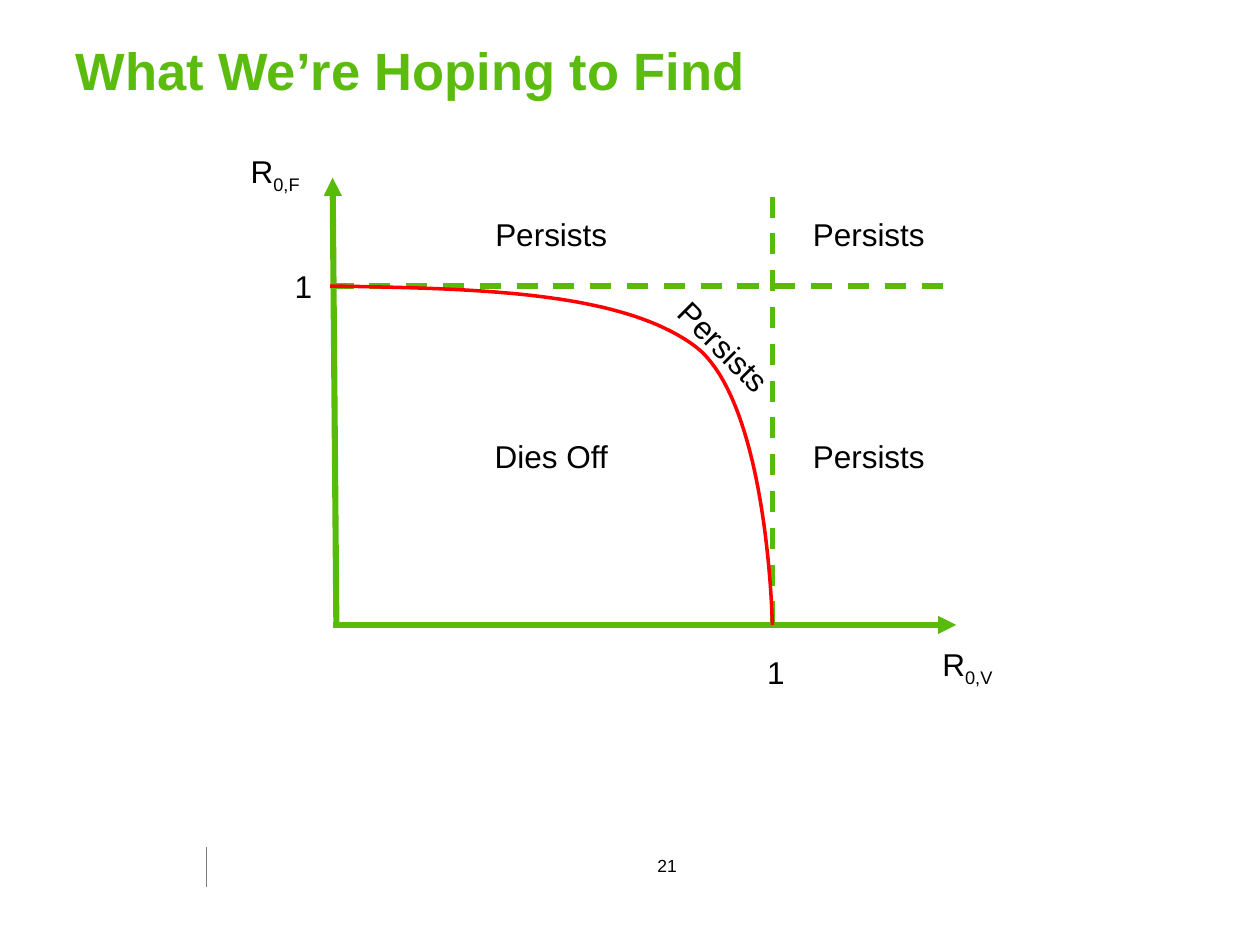
from typing import NamedTuple

from lxml import etree
from pptx import Presentation
from pptx.dml.color import RGBColor
from pptx.enum.dml import MSO_LINE
from pptx.enum.shapes import MSO_CONNECTOR
from pptx.enum.text import MSO_ANCHOR, PP_ALIGN
from pptx.oxml.ns import qn
from pptx.util import Inches, Pt

STRAIGHT = MSO_CONNECTOR.STRAIGHT
DASH = MSO_LINE.DASH
LEFT, CENTER = PP_ALIGN.LEFT, PP_ALIGN.CENTER
MIDDLE = MSO_ANCHOR.MIDDLE

FONT = "Arial"
GREEN, TITLE_GREEN = "59BB09", "5BBB0E"
RED, GRAY, BLACK = "FF0000", "808080", "000000"
TITLE_ONLY_LAYOUT = 5
CURVE_STEPS = 40

Point = tuple[float, float]


class Label(NamedTuple):
    text: str
    left: float
    top: float
    width: float
    align: PP_ALIGN = CENTER
    subscript: str = ""
    rotation: float = 0
    size: float = 18
    wrap: bool = True


class Line(NamedTuple):
    start: Point
    end: Point
    width: float
    color: str = GREEN
    dashed: bool = False
    arrow: bool = False


def rgb(color: str) -> RGBColor:
    return RGBColor.from_string(color)


def add_run(paragraph, text: str, size: float, color: str = BLACK, bold: bool = False):
    run = paragraph.add_run()
    run.text = text
    run.font.name = FONT
    run.font.size = Pt(size)
    run.font.bold = bold
    run.font.color.rgb = rgb(color)
    return run


def add_label(slide, label: Label) -> None:
    height = 0.4 if label.size == 18 else 0.27
    box = slide.shapes.add_textbox(
        Inches(label.left), Inches(label.top), Inches(label.width), Inches(height)
    )
    box.rotation = label.rotation
    box.text_frame.word_wrap = label.wrap
    paragraph = box.text_frame.paragraphs[0]
    paragraph.alignment = label.align
    add_run(paragraph, label.text, label.size)
    if label.subscript:
        run = add_run(paragraph, label.subscript, label.size)
        run._r.get_or_add_rPr().set("baseline", "-25000")


def add_line(slide, line: Line) -> None:
    connector = slide.shapes.add_connector(
        STRAIGHT, *(Inches(value) for value in line.start + line.end)
    )
    connector.line.width = Pt(line.width)
    connector.line.color.rgb = rgb(line.color)
    if line.dashed:
        connector.line.dash_style = DASH
    properties = connector._element.spPr
    if line.arrow:
        etree.SubElement(properties.find(qn("a:ln")), qn("a:tailEnd"), type="triangle")
    etree.SubElement(properties, qn("a:effectLst"))


def bezier_points(*controls: Point) -> list[Point]:
    """Return points along a cubic curve, without its start."""
    points = []
    for step in range(1, CURVE_STEPS + 1):
        t = step / CURVE_STEPS
        weights = ((1 - t) ** 3, 3 * t * (1 - t) ** 2, 3 * t**2 * (1 - t), t**3)
        x, y = (
            sum(weight * control[axis] for weight, control in zip(weights, controls))
            for axis in (0, 1)
        )
        points.append((x, y))
    return points


def add_threshold_curve(slide) -> None:
    start, knee, end = (2.62, 2.27), (5.52, 2.75), (6.13, 4.96)
    points = bezier_points(start, (3.78, 2.29), (4.93, 2.31), knee)
    points += bezier_points(knee, (6.1, 3.2), end, end)
    builder = slide.shapes.build_freeform(Inches(start[0]), Inches(start[1]))
    builder.add_line_segments([(Inches(x), Inches(y)) for x, y in points], close=False)
    curve = builder.convert_to_shape()
    curve.shadow.inherit = False
    curve.fill.background()
    curve.line.color.rgb = rgb(RED)
    curve.line.width = Pt(2)


def add_title(slide, text: str) -> None:
    title = slide.shapes.title
    title.left, title.top = Inches(0.5), Inches(0.25)
    title.width, title.height = Inches(8.96), Inches(0.61)
    title.text_frame.vertical_anchor = MIDDLE
    paragraph = title.text_frame.paragraphs[0]
    paragraph.alignment = LEFT
    add_run(paragraph, text, 30, TITLE_GREEN, bold=True)


LINES = [
    # Footer divider
    Line((1.64, 6.72), (1.64, 7.04), 0.25, GRAY),
    # Axes
    Line((2.64, 4.96), (7.59, 4.96), 3.5, arrow=True),
    Line((2.67, 4.97), (2.64, 1.41), 3.5, arrow=True),
    # Thresholds at 1
    Line((6.13, 1.56), (6.13, 4.97), 3, dashed=True),
    Line((2.64, 2.27), (7.59, 2.27), 3, dashed=True),
]

REGION_WIDTH = 1.39
LEFT_COLUMN, RIGHT_COLUMN = 3.68, 6.2
UPPER_ROW, LOWER_ROW = 1.66, 3.42
LABELS = [
    # Axis names and ticks
    Label("R", 7.38, 5.07, 0.65, LEFT, "0,V"),
    Label("R", 1.89, 1.16, 0.65, LEFT, "0,F"),
    Label("1", 5.99, 5.13, 0.38, LEFT),
    Label("1", 2.24, 2.07, 0.38, LEFT),
    # Regions
    Label("Persists", LEFT_COLUMN, UPPER_ROW, REGION_WIDTH),
    Label("Persists", RIGHT_COLUMN, LOWER_ROW, REGION_WIDTH),
    Label("Persists", RIGHT_COLUMN, UPPER_ROW, REGION_WIDTH),
    Label("Persists", 5.05, 2.55, REGION_WIDTH, rotation=45),
    Label("Dies Off", LEFT_COLUMN, LOWER_ROW, REGION_WIDTH),
    # Page number
    Label("21", 5.11, 6.74, 0.37, size=10, wrap=False),
]


def main() -> None:
    presentation = Presentation()
    presentation.slide_width, presentation.slide_height = Inches(10), Inches(7.5)
    slide = presentation.slides.add_slide(presentation.slide_layouts[TITLE_ONLY_LAYOUT])
    add_title(slide, "What We’re Hoping to Find")
    for line in LINES:
        add_line(slide, line)
    add_threshold_curve(slide)
    for label in LABELS:
        add_label(slide, label)
    presentation.save("out.pptx")


if __name__ == "__main__":
    main()
